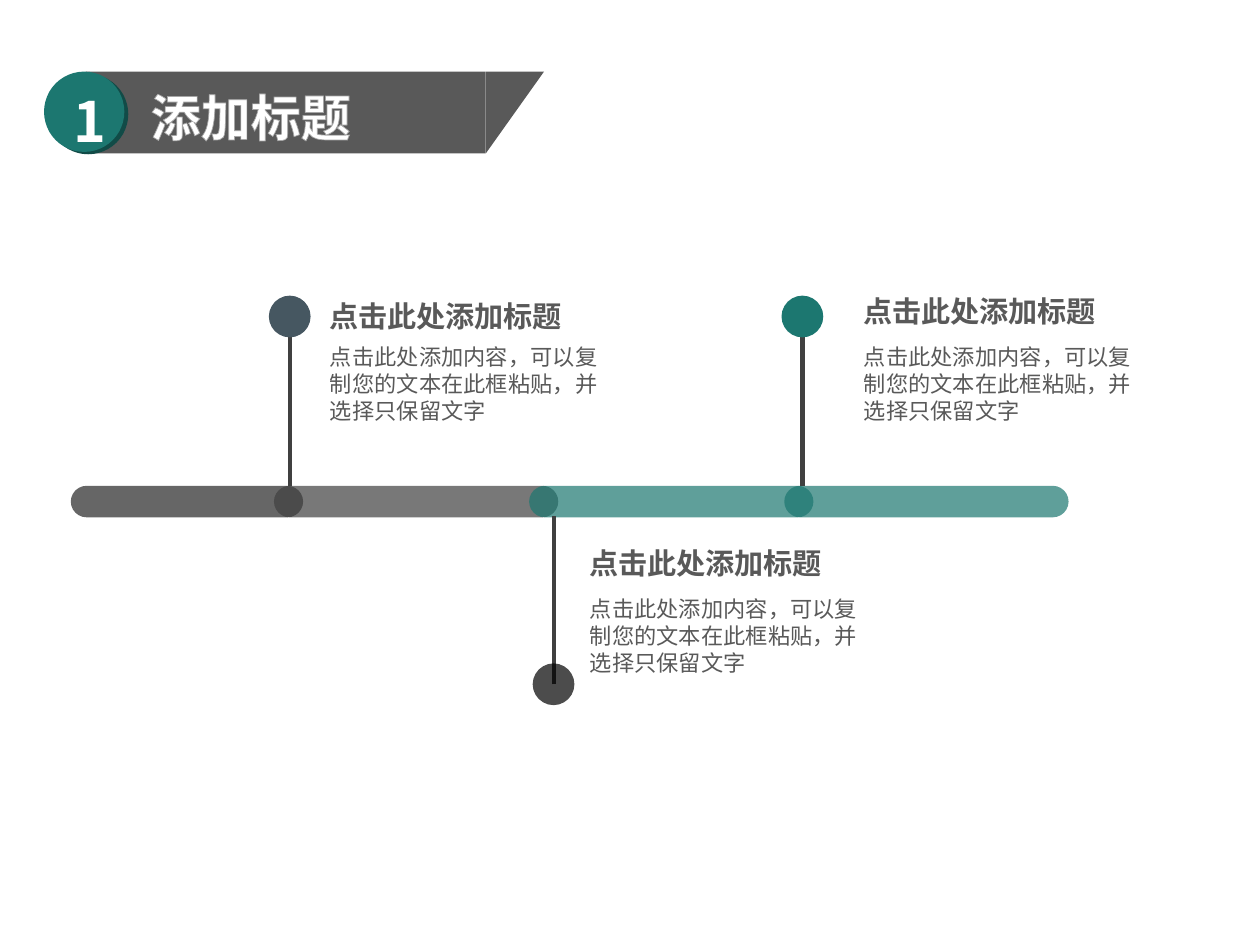
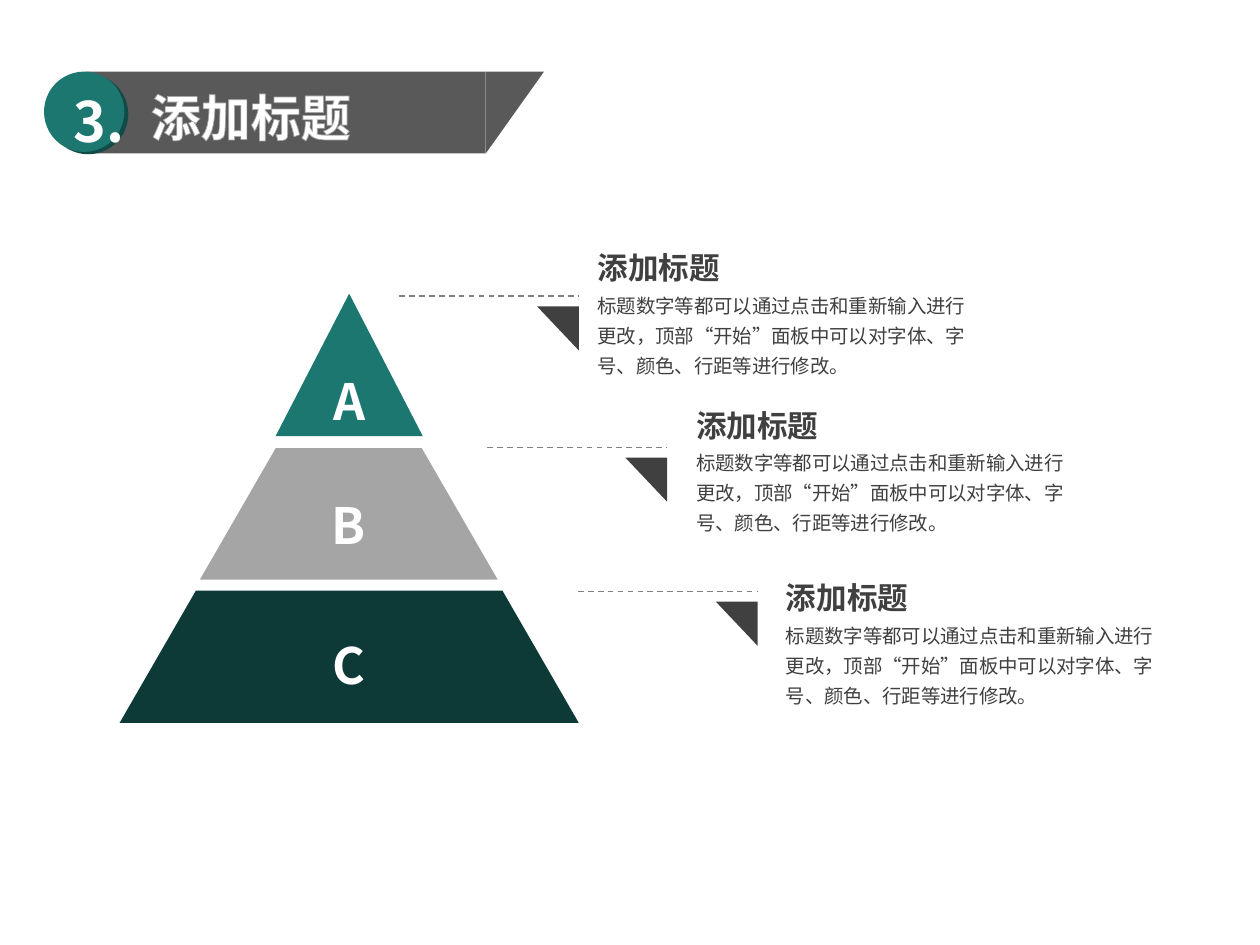
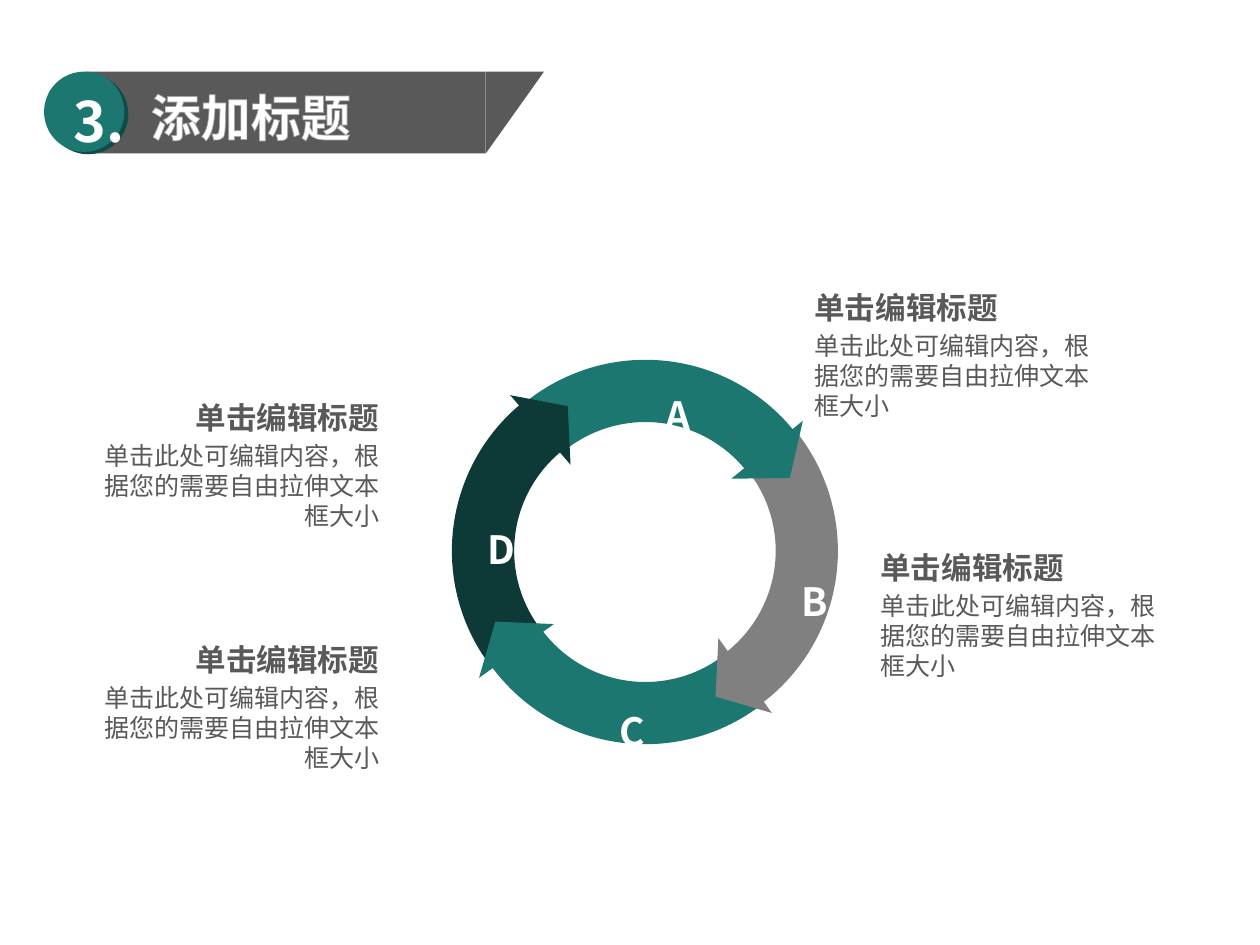
import pptx
import pptx.util
import pptx.dml.color
import pptx.enum.dml
import pptx.enum.shapes
import pptx.enum.text
import pptx.oxml
import pptx.oxml.ns
from lxml import etree

Cm = pptx.util.Cm
Pt = pptx.util.Pt
RGBColor = pptx.dml.color.RGBColor
KIND = pptx.enum.shapes.MSO_SHAPE
ALIGN = pptx.enum.text.PP_ALIGN
qn = pptx.oxml.ns.qn

# Shared colours and font
TEAL = RGBColor(0x1C, 0x77, 0x70)
DEEP = RGBColor(0x0D, 0x39, 0x36)
SHADE = RGBColor(0x11, 0x4B, 0x47)
SLATE = RGBColor(0x46, 0x57, 0x61)
BLACK = RGBColor(0, 0, 0)
COAL = RGBColor(0x26, 0x26, 0x26)
DARK = RGBColor(0x40, 0x40, 0x40)
GREY = RGBColor(0x59, 0x59, 0x59)
MID = RGBColor(0x80, 0x80, 0x80)
LIGHT = RGBColor(0xA5, 0xA5, 0xA5)
EDGE = RGBColor(0xA6, 0xA6, 0xA6)
WHITE = RGBColor(0xFF, 0xFF, 0xFF)
FONT = "Noto Sans CJK SC"


def add_shape(slide, kind, left, top, width, height, color,
              turn=0, alpha=None, adjust=()):
    shape = slide.shapes.add_shape(
        kind, Cm(left), Cm(top), Cm(width), Cm(height))
    shape.shadow.inherit = False
    shape.fill.solid()
    shape.fill.fore_color.rgb = color
    shape.line.fill.background()
    shape.rotation = turn
    for index, value in enumerate(adjust):
        shape.adjustments[index] = value
    if alpha is not None:
        tone = shape.element.spPr.find(".//" + qn("a:srgbClr"))
        etree.SubElement(tone, qn("a:alpha")).set("val", str(alpha * 1000))
    return shape


def add_line(slide, start, end, color, width, dash=None):
    line = slide.shapes.add_connector(
        pptx.enum.shapes.MSO_CONNECTOR.STRAIGHT,
        *(Cm(value) for value in start + end))
    line.line.color.rgb = color
    line.line.width = Pt(width)
    line.line.dash_style = dash
    etree.SubElement(line.element.spPr, qn("a:effectLst"))


def style(para, size, color, bold=False, font=FONT):
    run = para.runs[0]
    run.font.size = Pt(size)
    run.font.bold = bold
    run.font.color.rgb = color
    run.font.name = font
    east = etree.Element(qn("a:ea"), typeface=FONT)
    run.font._element.find(qn("a:latin")).addnext(east)
    return run


def add_text(slide, text, left, top, width, height, size, color, bold=False,
             align=ALIGN.LEFT, wrap=True, inset=True, pitch=1.3, font=FONT):
    box = slide.shapes.add_textbox(Cm(left), Cm(top), Cm(width), Cm(height))
    frame = box.text_frame
    frame.word_wrap = wrap
    if not inset:
        frame.margin_left = frame.margin_right = 0
        frame.margin_top = frame.margin_bottom = 0
    frame.text = text
    para = frame.paragraphs[0]
    para.alignment = align
    para.line_spacing = Pt(round(size * pitch, 1))
    return style(para, size, color, bold, font)


def add_header(slide, number):
    """Title band with its numbered disc."""
    add_shape(slide, KIND.RECTANGLE, 1.09, 0.91, 5.08, 1.04, GREY)
    add_shape(slide, KIND.OVAL, 0.61, 0.94, 1.02, 1.02, SHADE)
    add_shape(slide, KIND.OVAL, 0.56, 0.91, 1.02, 1.02, TEAL)
    slant = add_shape(slide, KIND.ISOSCELES_TRIANGLE, 6.17, 0.91, 0.74, 1.04,
                      GREY, adjust=[0])
    slant.element.spPr.find(qn("a:xfrm")).set("flipV", "1")
    add_text(slide, number, 0.69, 0.91, 1.17, 1.12, 20, WHITE, True,
             wrap=False)
    run = add_text(slide, "添加标题", 1.65, 0.91, 3.07, 1.02, 18, WHITE, True,
                   ALIGN.CENTER, wrap=False, font="Arial Narrow")
    # Thin grey outline around the title letters
    edge = etree.Element(qn("a:ln"), w=str(Pt(0.75)))
    fill = etree.SubElement(edge, qn("a:solidFill"))
    etree.SubElement(fill, qn("a:srgbClr")).set("val", str(EDGE))
    run.font._element.insert(0, edge)


def add_time(slide):
    """Timeline bar with three pins."""
    bars = [(0.9, 2.95, COAL), (3.48, 3.61, DARK),
            (6.72, 3.61, TEAL), (9.96, 3.61, TEAL)]
    for left, width, color in bars:
        add_shape(slide, KIND.ROUNDED_RECTANGLE, left, 6.17, width, 0.4,
                  color, alpha=70, adjust=[0.5])

    # Pins: centre, bar edge, dot colour and opacity
    pins = [(3.68, 4.02, 6.17, SLATE, None), (10.19, 4.02, 6.17, TEAL, None),
            (7.03, 8.69, 6.55, BLACK, 70)]
    size = 0.53
    for x, y, edge, color, alpha in pins:
        add_line(slide, (x, y), (x, edge), DARK, 1.5)
        add_shape(slide, KIND.OVAL, x - size / 2, y - size / 2, size, size,
                  color, alpha=alpha)

    body = "点击此处添加内容，可以复制您的文本在此框粘贴，并选择只保留文字"
    for left, head, top in [(3.94, 3.63, 4.24), (10.72, 3.56, 4.24),
                            (7.24, 6.76, 7.44)]:
        add_text(slide, body, left, top, 4.04, 1.27, 8, GREY, pitch=1.2)
        add_text(slide, "点击此处添加标题", left, head, 4.39, 0.71, 10.5,
                 GREY, True)


def add_tiers(slide):
    """Three-tier pyramid with stepped notes."""
    tiers = [
        ("C", KIND.TRAPEZOID, 1.52, 7.5, 5.83, 1.68, DEEP, [0.577]),
        ("B", KIND.TRAPEZOID, 2.54, 5.69, 3.78, 1.67, LIGHT, [0.577]),
        ("A", KIND.ISOSCELES_TRIANGLE, 3.5, 3.73, 1.87, 1.81, TEAL, []),
    ]
    for name, kind, left, top, width, height, color, adjust in tiers:
        tier = add_shape(slide, kind, left, top, width, height, color,
                         adjust=adjust)
        tier.text_frame.text = name
        para = tier.text_frame.paragraphs[0]
        para.alignment = ALIGN.CENTER
        style(para, 18, WHITE, True)

    # Notes: end and height of the dashed line, corner of the text
    body = ("标题数字等都可以通过点击和重新输入进行更改，顶部“开始”面板中"
            "可以对字体、字号、颜色、行距等进行修改。")
    dash = pptx.enum.dml.MSO_LINE.DASH
    for end, y, left, top in [(7.35, 3.76, 7.34, 3), (8.47, 5.68, 8.59, 5),
                              (9.62, 7.51, 9.73, 7.19)]:
        add_line(slide, (end - 2.28, y), (end, y), MID, 0.5, dash)
        add_text(slide, "添加标题", left, top, 2.08, 0.74, 11, DARK, True,
                 wrap=False)
        add_text(slide, body, left, top + 0.52, 5.21, 1.42, 7, DARK,
                 pitch=1.54)
        add_shape(slide, KIND.RIGHT_TRIANGLE, end - 0.53, y + 0.13, 0.53,
                  0.56, DARK, turn=180)


def add_cycle(slide):
    """Ring of four arrows with a note beside each."""
    arcs = [(5.77, 4.57, 49.8, 108, TEAL), (5.74, 4.57, 318.6, 111.51, DEEP),
            (5.77, 4.6, 232.5, 108, TEAL), (5.79, 4.57, 141.2, 108, MID)]
    for left, top, turn, start, color in arcs:
        add_shape(slide, KIND.BLOCK_ARC, left, top, 4.85, 4.85, color, turn,
                  adjust=[start, 162.98, 0.163])

    heads = [(6.45, 5.08, 49, DEEP), (9.3, 5.66, 141, TEAL),
             (8.69, 8.48, 234.5, MID), (5.84, 7.85, 324.3, TEAL)]
    for left, top, turn, color in heads:
        add_shape(slide, KIND.ISOSCELES_TRIANGLE, left, top, 1.17, 0.46,
                  color, turn)

    for name, left, top in [("A", 8.2, 4.8), ("C", 7.62, 8.81),
                            ("D", 5.94, 6.5), ("B", 9.93, 7.16)]:
        add_text(slide, name, left, top, 0.89, 0.86, 14, WHITE, True,
                 wrap=False)

    body = "单击此处可编辑内容，根据您的需要自由拉伸文本框大小"
    for left, top, align in [(1.24, 5.03, ALIGN.RIGHT),
                             (10.34, 3.63, ALIGN.LEFT),
                             (11.18, 6.93, ALIGN.LEFT),
                             (1.24, 8.1, ALIGN.RIGHT)]:
        add_text(slide, "单击编辑标题", left, top, 3.58, 0.43, 11, GREY,
                 True, align, inset=False)
        add_text(slide, body, left, top + 0.57, 3.58, 1.04, 9, GREY,
                 align=align, inset=False, pitch=1.2)


def main():
    deck = pptx.Presentation()
    deck.slide_width = Cm(16)
    deck.slide_height = Cm(12)
    for number, fill in [("1", add_time), ("3.", add_tiers),
                         ("3.", add_cycle)]:
        slide = deck.slides.add_slide(deck.slide_layouts[6])
        fill(slide)
        add_header(slide, number)
    deck.save("out.pptx")


main()
